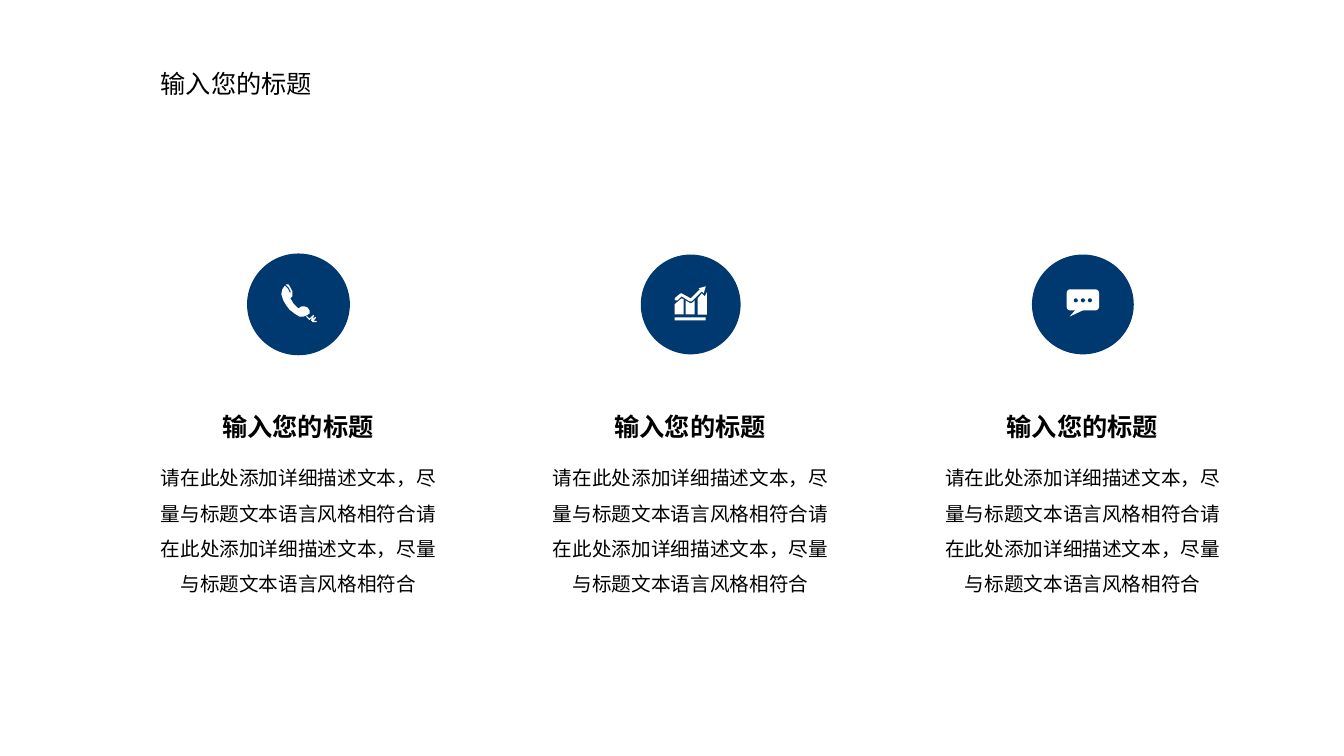
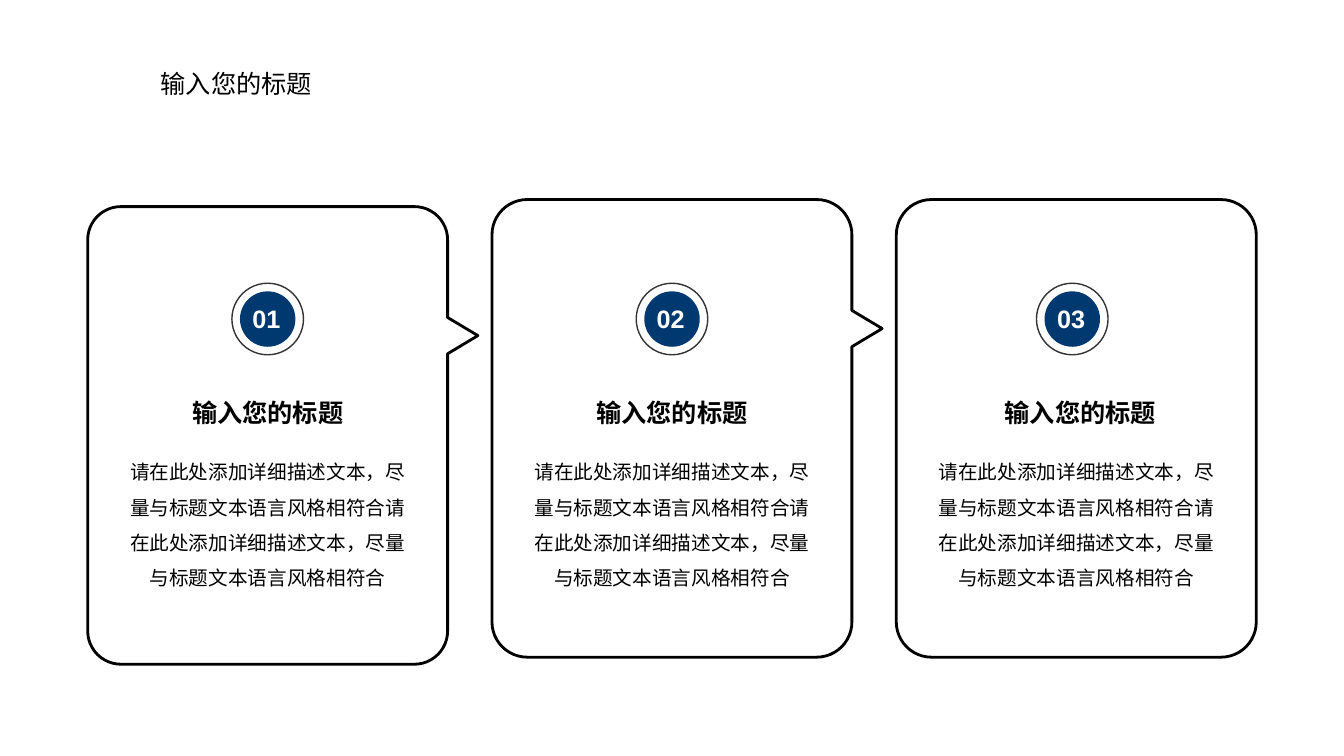
import math
import pptx
import pptx.dml.color
import pptx.enum.shapes
import pptx.enum.text
import pptx.util

Inches = pptx.util.Inches
RGB = pptx.dml.color.RGBColor.from_string
SHAPE = pptx.enum.shapes.MSO_SHAPE
ALIGN = pptx.enum.text.PP_ALIGN

THEME = {
    "navy": "003970", "white": "FFFFFF", "black": "000000", "ring": "333333",
    "font": "Arial", "title": 18, "body": 14,
}
TITLE = "输入您的标题"
BODY = "请在此处添加详细描述文本，尽量与标题文本语言风格相符合" * 2


def paint(shape, fill=None, line=None, width=1):
    shape.shadow.inherit = False
    if fill:
        shape.fill.solid()
        shape.fill.fore_color.rgb = RGB(THEME[fill])
    else:
        shape.fill.background()
    if line:
        shape.line.color.rgb = RGB(THEME[line])
        shape.line.width = pptx.util.Pt(width)
    else:
        shape.line.fill.background()


def add_text(s, text, x, y, w, h, size="title", bold=False, color="black",
             align=ALIGN.CENTER, spacing=None, wrap=True):
    sp = s.shapes.add_textbox(Inches(x), Inches(y), Inches(w), Inches(h))
    tf = sp.text_frame
    tf.word_wrap = wrap
    tf.auto_size = pptx.enum.text.MSO_AUTO_SIZE.SHAPE_TO_FIT_TEXT
    p = tf.paragraphs[0]
    p.alignment = align
    if spacing:
        p.line_spacing = spacing
    r = p.add_run()
    r.text = text
    font = {"name": THEME["font"], "size": pptx.util.Pt(THEME[size]), "bold": bold}
    for name, value in font.items():
        setattr(r.font, name, value)
    r.font.color.rgb = RGB(THEME[color])


prs = pptx.Presentation()
prs.slide_width, prs.slide_height = Inches(13.33), Inches(7.5)

# Both slides with their shared title
slides = [prs.slides.add_slide(prs.slide_layouts[6]) for _ in range(2)]
for s in slides:
    add_text(s, TITLE, 1.13, 0.63, 2.43, 0.4)

# Slide 1: three columns, each a disc with heading and description
s = slides[0]
for i, (disc_w, disc_h) in enumerate([(1.02, 1.01), (0.99, 0.99), (1.01, 0.99)]):
    x = 1.46 + i * 3.89
    disc = s.shapes.add_shape(
        SHAPE.OVAL, Inches(x + 1.5 - disc_w / 2), Inches(3.02 - disc_h / 2),
        Inches(disc_w), Inches(disc_h))
    paint(disc, "navy")
    add_text(s, BODY, x, 4.46, 3, 1.83, "body", spacing=1.5)
    add_text(s, TITLE, x + 0.29, 4.03, 2.41, 0.4, bold=True)

# Icon outlines: fill, line, points
handset = [(2.82, 2.84), (2.8, 2.87), (2.79, 2.92), (2.81, 2.98), (2.84, 3.03),
           (2.87, 3.07), (2.92, 3.11), (2.97, 3.14), (3.01, 3.14), (3.04, 3.13),
           (3.07, 3.11), (3.07, 3.08), (3.05, 3.05), (3.02, 3.04), (2.99, 3.04),
           (2.96, 3.06), (2.91, 3.01), (2.88, 2.96), (2.9, 2.94), (2.9, 2.89),
           (2.88, 2.85), (2.86, 2.82), (2.84, 2.82)]
slit = [(2.83, 2.83), (2.86, 2.86), (2.88, 2.9)]
cord = [(3.04, 3.14), (3.07, 3.17), (3.11, 3.13), (3.09, 3.18), (3.13, 3.15),
        (3.1, 3.19), (3.14, 3.19)]
left_bar = [(6.69, 3.12), (6.69, 3.02), (6.76, 2.96), (6.78, 2.97), (6.78, 3.12)]
middle_bar = [(6.8, 3.12), (6.8, 2.98), (6.83, 3), (6.85, 3.01), (6.87, 3),
              (6.89, 2.98), (6.89, 3.12)]
right_bar = [(6.92, 3.12), (6.92, 2.96), (6.96, 2.91), (6.99, 2.94), (7.01, 2.9),
             (7.01, 3.12)]
trend = [(6.72, 2.98), (6.76, 2.94), (6.84, 2.99), (6.86, 2.99), (6.96, 2.89),
         (6.98, 2.91), (7, 2.84), (6.93, 2.86), (6.94, 2.87), (6.85, 2.96),
         (6.76, 2.91), (6.75, 2.91), (6.7, 2.95), (6.69, 2.97), (6.7, 2.98)]
bubble_tail = [(10.67, 3.07), (10.61, 3.14), (10.76, 3.07)]
icons = [("white", None, points) for points in
         (handset, left_bar, middle_bar, right_bar, trend, bubble_tail)]
icons += [(None, "navy", slit), (None, "white", cord)]
for fill, line, points in icons:
    points = [(Inches(x), Inches(y)) for x, y in points]
    builder = s.shapes.build_freeform(*points[0])
    builder.add_line_segments(points[1:], close=line is None)
    paint(builder.convert_to_shape(), fill, line, 0.75)

# Chart base, speech bubble and its dots
parts = [(SHAPE.RECTANGLE, "white", 6.69, 3.15, 0.31, 0.03),
         (SHAPE.ROUNDED_RECTANGLE, "white", 10.58, 2.87, 0.32, 0.21)]
parts += [(SHAPE.OVAL, "navy", 10.65 + i * 0.07, 2.96, 0.04, 0.04) for i in range(3)]
for preset, fill, *box in parts:
    paint(s.shapes.add_shape(preset, *map(Inches, box)), fill)

# Slide 2: cards as top, corner radius, pointer, heading offset, badge offset
s = slides[1]
card_w, card_h = 3.57, 4.54
cards = [(2.05, 0.33, True, 0.58, 1.51), (1.98, 0.35, True, 0.58, 1.51),
         (1.98, 0.35, False, 0.62, 1.47)]
for i, (top, radius, pointer, heading_dx, badge_dx) in enumerate(cards):
    x = 0.87 + i * 4.01
    right, bottom = x + card_w, top + card_h

    # Card outline, with a pointer to the next card
    if pointer:
        corners = [(right - radius, bottom - radius), (x + radius, bottom - radius),
                   (x + radius, top + radius), (right - radius, top + radius)]
        points = []
        for quarter, (cx, cy) in enumerate(corners):
            for step in range(13):
                angle = (quarter + step / 12) * math.pi / 2
                points.append((cx + radius * math.cos(angle),
                               cy + radius * math.sin(angle)))
        points += [(right, top + 1.1), (right + 0.3, top + 1.28), (right, top + 1.46)]
        points = [(Inches(px), Inches(py)) for px, py in points]
        builder = s.shapes.build_freeform(*points[0])
        builder.add_line_segments(points[1:], close=True)
        card = builder.convert_to_shape()
    else:
        card = s.shapes.add_shape(SHAPE.ROUNDED_RECTANGLE, Inches(x), Inches(top),
                                  Inches(card_w), Inches(card_h))
        card.adjustments[0] = radius / card_w
    paint(card, line="black", width=2)

    # Description and heading
    add_text(s, BODY, x + 0.31, 4.4, 2.95, 1.83, "body", spacing=1.5)
    add_text(s, TITLE, x + heading_dx, 3.89, 2.41, 0.4, bold=True)

    # Numbered badge
    badge_x = x + badge_dx
    for inset, size, fill, line in [(0, 0.55, "navy", None), (0.08, 0.71, None, "ring")]:
        circle = s.shapes.add_shape(SHAPE.OVAL, Inches(badge_x - inset),
                                    Inches(2.89 - inset), Inches(size), Inches(size))
        paint(circle, fill, line)
    add_text(s, f"{i + 1:02}", badge_x + 0.02, 2.96, 0.48, 0.4, bold=True,
             color="white", align=ALIGN.RIGHT, wrap=False)

prs.save("out.pptx")
